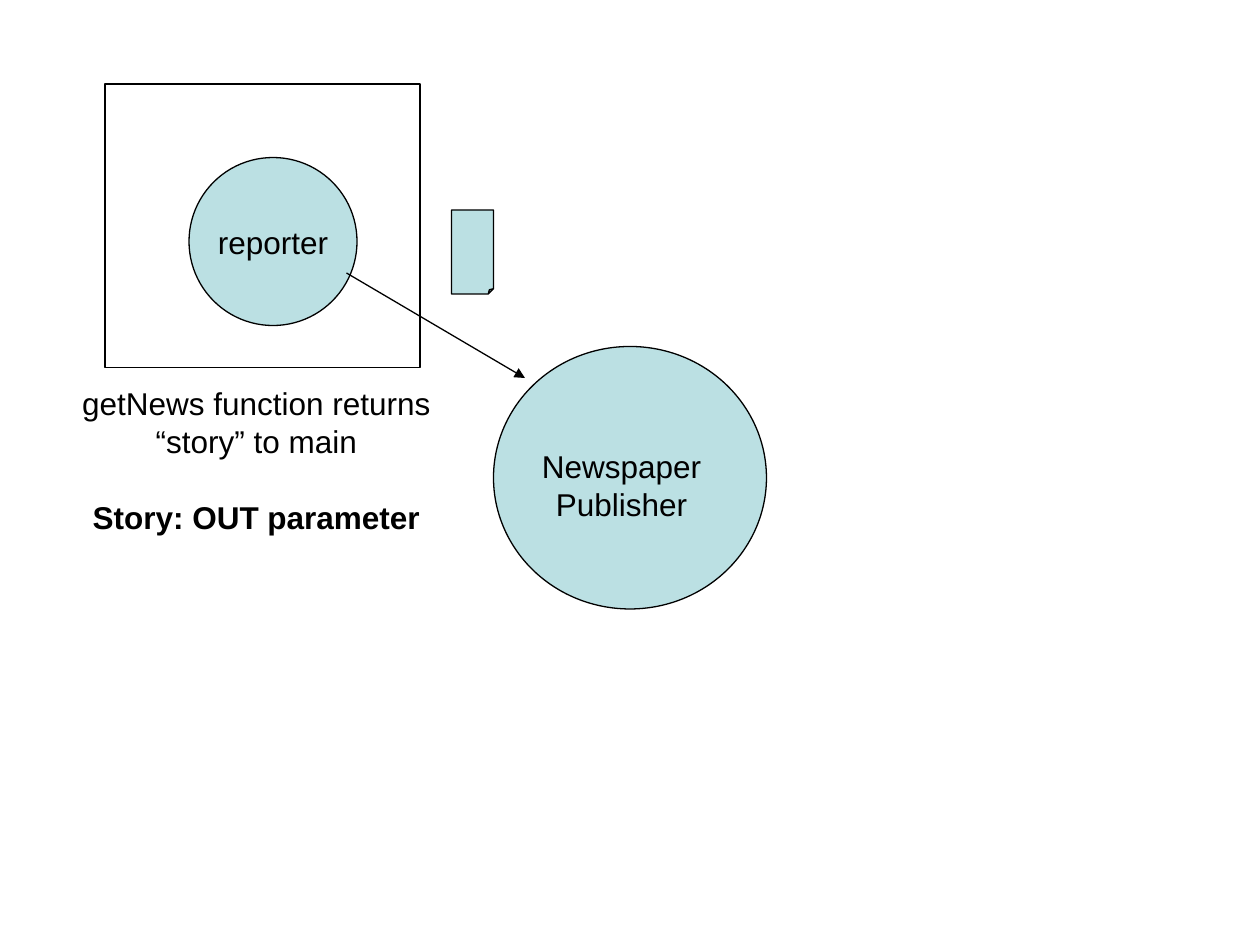
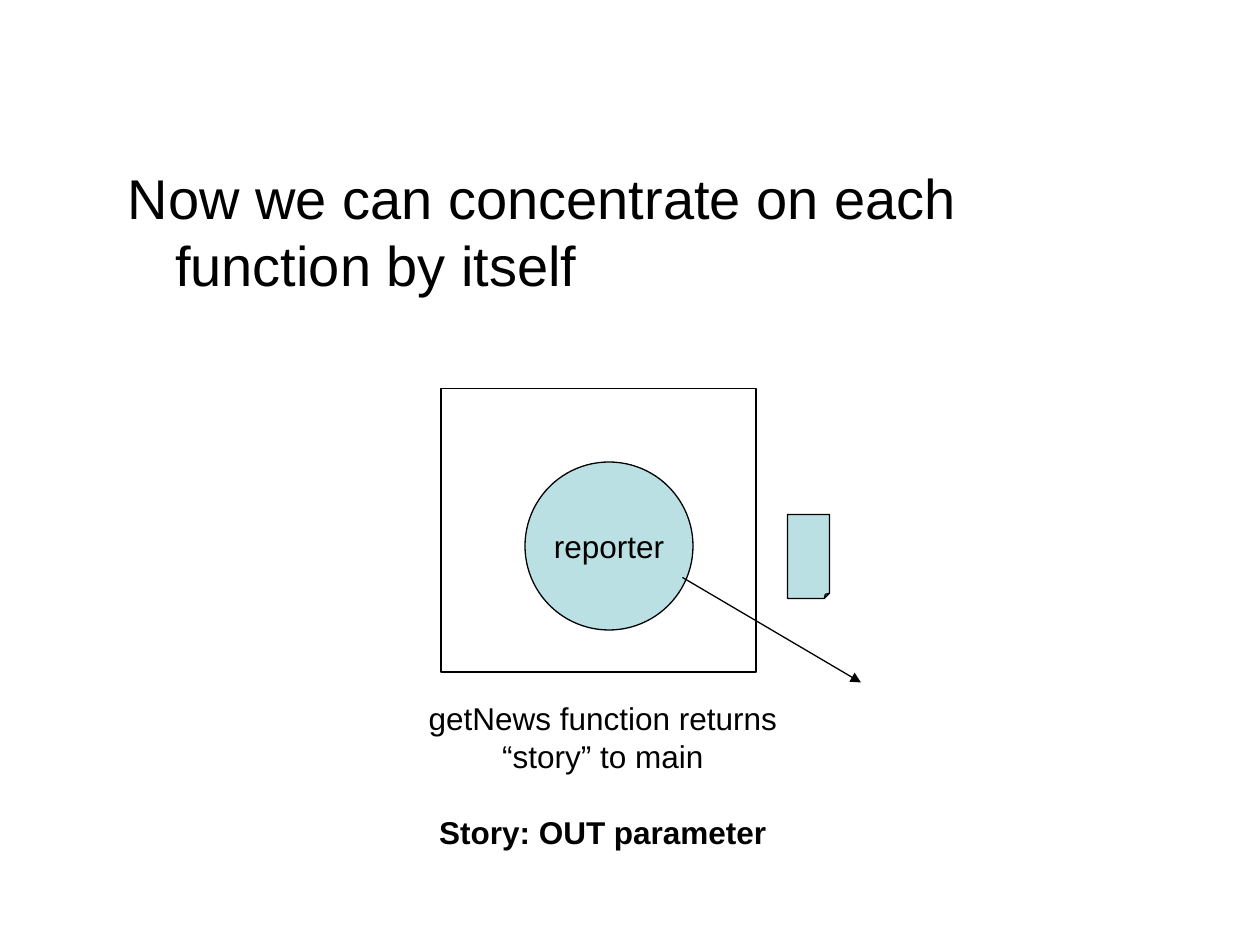
from lxml.etree import SubElement
from pptx import Presentation
from pptx.dml.color import RGBColor
from pptx.enum.shapes import MSO_CONNECTOR as Connector, MSO_SHAPE as Shape
from pptx.enum.text import MSO_ANCHOR as Anchor, PP_ALIGN as Align
from pptx.oxml.ns import qn
from pptx.util import Pt

FONT = "Arial"
INK = "000000"
PALE_TEAL = "BBE0E3"
LINE_WIDTH = 0.75
BODY_SIZE = 18
HEADING_SIZE = 32
BLANK_LINE = 21.7


def color(hex_code):
    """Turn a hex string into a colour."""
    return RGBColor.from_string(hex_code)


def style_paragraph(para, size=BODY_SIZE, bold=False, align=Align.CENTER):
    """Give a paragraph and its runs the shared font and ink."""
    para.alignment = align
    for span in para.runs:
        span.font.name = FONT
        span.font.size = Pt(size)
        span.font.bold = bold
        span.font.color.rgb = color(INK)


def add_outlined(shapes, kind, left, top, width, height, fill=PALE_TEAL):
    """Add a thinly outlined shape, hollow when fill is None."""
    shape = shapes.add_shape(kind, Pt(left), Pt(top), Pt(width), Pt(height))
    shape.shadow.inherit = False
    if fill:
        shape.fill.solid()
        shape.fill.fore_color.rgb = color(fill)
    else:
        shape.fill.background()
    shape.line.color.rgb = color(INK)
    shape.line.width = Pt(LINE_WIDTH)
    return shape


def add_story(shapes, left, top):
    """Add the story sheet with a small folded corner."""
    story = add_outlined(shapes, Shape.FOLDED_CORNER, left, top, 24, 48)
    guides = story._element.spPr.find(qn("a:prstGeom")).get_or_add_avLst()
    for guide in list(guides):
        guides.remove(guide)
    SubElement(guides, qn("a:gd"), name="adj", fmla="val 12500")


def add_arrow(shapes, x1, y1, x2, y2):
    """Add a straight line ending in a triangular head."""
    arrow = shapes.add_connector(Connector.STRAIGHT, Pt(x1), Pt(y1), Pt(x2), Pt(y2))
    arrow.line.color.rgb = color(INK)
    arrow.line.width = Pt(LINE_WIDTH)
    SubElement(arrow.line._get_or_add_ln(), qn("a:tailEnd"), type="triangle")
    SubElement(arrow._element.spPr, qn("a:effectLst"))


def add_text(page, text, left, top, width, height):
    """Add a wrapping text box and return its text frame."""
    box = page.shapes.add_textbox(Pt(left), Pt(top), Pt(width), Pt(height))
    frame = box.text_frame
    frame.word_wrap = True
    frame.text = text
    for para in frame.paragraphs:
        style_paragraph(para)
    return frame


def add_reporter_diagram(page, left, top):
    """Add the reporter in its frame, sending a story out to the right."""
    shapes = page.shapes.add_group_shape().shapes
    reporter = add_outlined(shapes, Shape.OVAL, left + 48, top + 42, 96, 96)
    frame = reporter.text_frame
    frame.text = "reporter"
    frame.word_wrap = False
    frame.vertical_anchor = Anchor.MIDDLE
    style_paragraph(frame.paragraphs[0])
    add_arrow(shapes, left + 138, top + 108, left + 240, top + 168)
    add_story(shapes, left + 198, top + 72)
    add_outlined(shapes, Shape.RECTANGLE, left, top, 180, 162, fill=None)


def add_story_caption(page, left, top):
    """Add the explanation of the getNews function."""
    text = "getNews function returns “story” to main\nStory: OUT parameter"
    parameter = add_text(page, text, left, top, 257, 93.6).paragraphs[1]
    parameter.space_before = Pt(BLANK_LINE)
    style_paragraph(parameter, bold=True)


def add_publisher(page):
    """Add the newspaper publisher circle with its label."""
    add_outlined(page.shapes, Shape.OVAL, 282, 198, 156, 150)
    add_text(page, "Newspaper Publisher", 276, 252, 158.4, 50.4)


def add_heading(page, text):
    """Add the large statement with a hanging indent."""
    para = add_text(page, text, 66, 90, 558, 90).paragraphs[0]
    style_paragraph(para, HEADING_SIZE, align=Align.LEFT)
    para.space_before = Pt(8)
    properties = para._p.get_or_add_pPr()
    properties.set("marL", str(Pt(27)))
    properties.set("indent", str(Pt(-27)))


def main():
    """Build both slides and save the deck."""
    deck = Presentation()
    deck.slide_width, deck.slide_height = Pt(720), Pt(540)
    blank = deck.slide_layouts[6]

    page = deck.slides.add_slide(blank)
    add_publisher(page)
    add_reporter_diagram(page, 60, 48)
    add_story_caption(page, 18, 216)

    page = deck.slides.add_slide(blank)
    add_heading(page, "Now we can concentrate on each function by itself")
    add_reporter_diagram(page, 252, 222)
    add_story_caption(page, 216, 396)

    deck.save("out.pptx")


if __name__ == "__main__":
    main()
